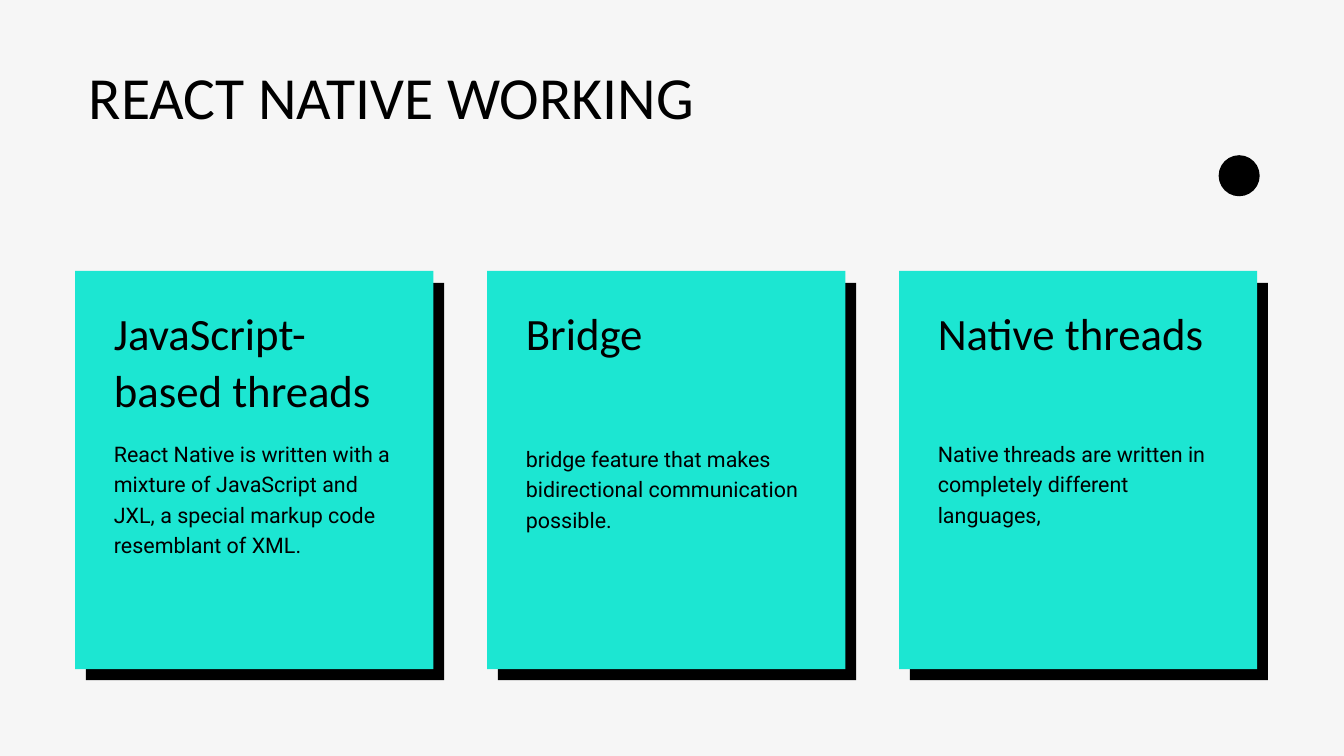
from dataclasses import dataclass

from pptx import Presentation
from pptx.dml.color import RGBColor
from pptx.enum.shapes import MSO_SHAPE
from pptx.slide import Slide
from pptx.util import Pt

COLORS = {"paper": "F6F6F6", "ink": "000000", "card": "1CE6D2"}

FORMATS = {
    "title": {"name": "Calibri", "size": Pt(64)},
    "head": {"name": "Calibri", "size": Pt(48)},
    "body": {"name": "Roboto", "size": Pt(23)},
}
LEADING = {"title": 80.6, "head": 60.5, "body": 32.6}

LEFT, TOP = 80.64, 290.16
PITCH = 441.36
WIDTH, HEIGHT = 383.76, 426.96
PAD = 41.4


@dataclass(frozen=True)
class Box:
    left: float
    top: float
    width: float
    height: float

    def lengths(self) -> tuple[Pt, Pt, Pt, Pt]:
        return Pt(self.left), Pt(self.top), Pt(self.width), Pt(self.height)


@dataclass(frozen=True)
class Card:
    head: str
    body: str
    drop: float = 0  # extra distance above the body text


CARDS = [
    Card(
        "JavaScript-based threads",
        "React Native is written with a mixture of JavaScript and JXL, "
        "a special markup code resemblant of XML.",
    ),
    Card(
        "Bridge",
        "bridge feature that makes bidirectional communication possible.",
        drop=5.5,
    ),
    Card(
        "Native threads",
        "Native threads are written in completely different languages,",
    ),
]


def color(name: str) -> RGBColor:
    return RGBColor.from_string(COLORS[name])


def add_shape(slide: Slide, kind: MSO_SHAPE, box: Box, fill: str) -> None:
    shape = slide.shapes.add_shape(kind, *box.lengths())
    shape.shadow.inherit = False
    shape.fill.solid()
    shape.fill.fore_color.rgb = color(fill)
    shape.line.fill.background()


def add_text(slide: Slide, box: Box, text: str, style: str, inset: float = 0) -> None:
    frame = slide.shapes.add_textbox(*box.lengths()).text_frame
    margins = {"margin_left": Pt(inset), "margin_top": 0,
               "margin_right": 0, "margin_bottom": 0}
    for key, value in margins.items():
        setattr(frame, key, value)
    frame.word_wrap = True
    line = frame.paragraphs[0]
    line.line_spacing = Pt(LEADING[style])
    run = line.add_run()
    run.text = text
    for key, value in FORMATS[style].items():
        setattr(run.font, key, value)
    run.font.color.rgb = color("ink")


def add_card(slide: Slide, card: Card, left: float) -> None:
    """Draw a panel over its offset black block, then its two texts."""
    block = Box(left + 11.5, TOP + 13, WIDTH, HEIGHT - 1.5)
    add_shape(slide, MSO_SHAPE.RECTANGLE, block, "ink")
    add_shape(slide, MSO_SHAPE.RECTANGLE, Box(left, TOP, WIDTH, HEIGHT), "card")
    inner = left + PAD
    add_text(slide, Box(inner, 324.72, 301.68, 118.8), card.head, "head")
    add_text(slide, Box(inner, 467.28 + card.drop, 301.68, 128), card.body, "body")


def main() -> None:
    deck = Presentation()
    deck.slide_width, deck.slide_height = Pt(1440), Pt(810)
    slide = deck.slides.add_slide(deck.slide_layouts[6])
    slide.background.fill.solid()
    slide.background.fill.fore_color.rgb = color("paper")

    title = Box(LEFT, 59.76, 1048.32, 159.84)
    add_text(slide, title, "REACT NATIVE WORKING", "title", inset=14.5)
    for index, card in enumerate(CARDS):
        add_card(slide, card, LEFT + index * PITCH)
    add_shape(slide, MSO_SHAPE.OVAL, Box(1305.7, 166.3, 44, 44), "ink")

    deck.save("out.pptx")


if __name__ == "__main__":
    main()
